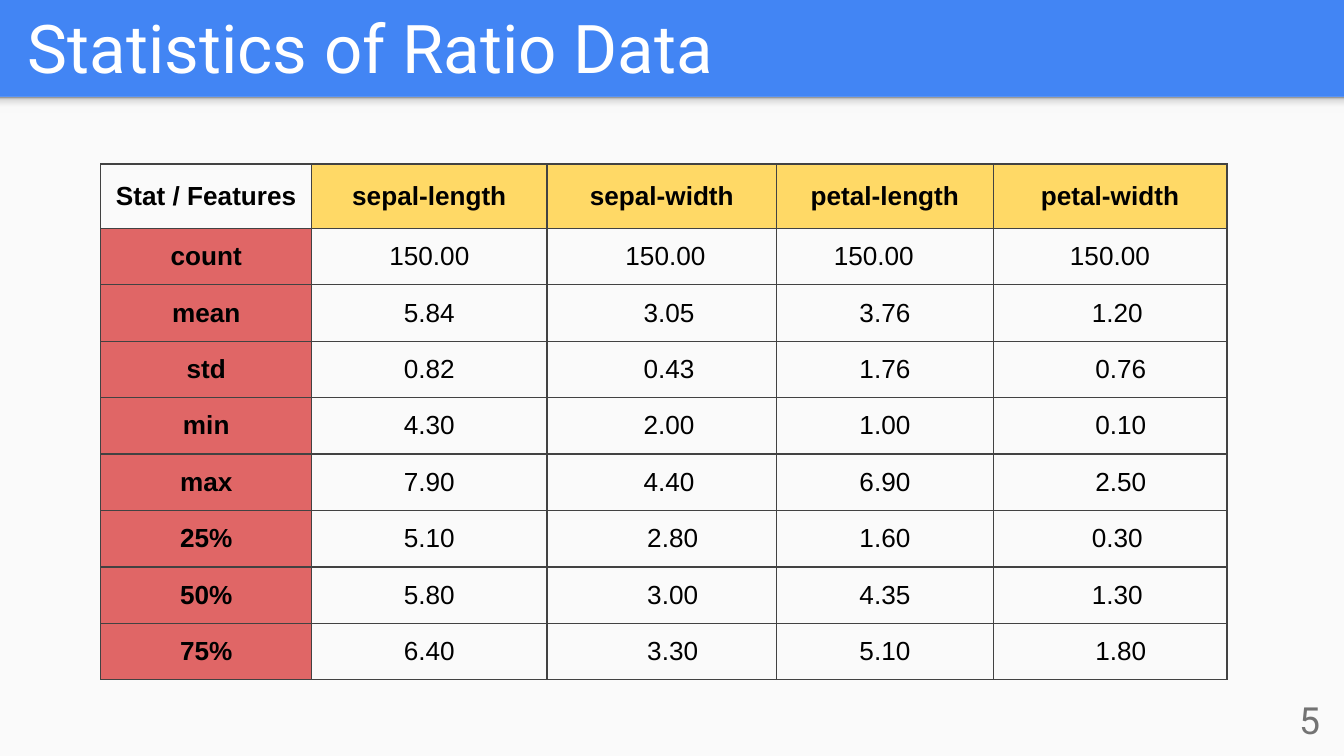
from copy import deepcopy

from lxml.etree import SubElement
from pptx import Presentation
from pptx.dml.color import RGBColor
from pptx.enum.shapes import MSO_SHAPE
from pptx.enum.text import MSO_ANCHOR, PP_ALIGN
from pptx.oxml.ns import qn
from pptx.util import Inches, Pt

FEATURES = ["sepal-length", "sepal-width", "petal-length", "petal-width"]
# Statistic, its values, and the indent of each value in space widths
STATISTICS = [
    ("count", ["150.00", "150.00", "150.00", "150.00"], [0, 1, 6, 0]),
    ("mean", ["5.84", "3.05", "3.76", "1.20"], [0, 2, 0, 2]),
    ("std", ["0.82", "0.43", "1.76", "0.76"], [0, 2, 0, 3]),
    ("min", ["4.30", "2.00", "1.00", "0.10"], [0, 2, 0, 3]),
    ("max", ["7.90", "4.40", "6.90", "2.50"], [0, 2, 0, 3]),
    ("25%", ["5.10", "2.80", "1.60", "0.30"], [0, 3, 0, 2]),
    ("50%", ["5.80", "3.00", "4.35", "1.30"], [0, 3, 0, 2]),
    ("75%", ["6.40", "3.30", "5.10", "1.80"], [0, 3, 0, 3]),
]
SLIDE_WIDTH = 10
SLIDE_HEIGHT = SLIDE_WIDTH * 9 / 16
BANNER_HEIGHT = 0.72
COLUMN_WIDTHS = [1.57, 1.75, 1.71, 1.61, 1.74]
HEADER_HEIGHT, ROW_HEIGHT = 0.48, 0.42
SPACE_WIDTH = 3.89 / 72


def rgb(value):
    return RGBColor.from_string(value)


class SlideBuilder:
    BLUE, PAPER, WHITE, GREY = "4285F4", "FAFAFA", "FFFFFF", "737373"
    BLACK, BORDER, YELLOW, RED = "000000", "424242", "FFD966", "E06666"
    HEADING_FONT, TABLE_FONT = "Roboto", "Arial"
    INSET, TIGHT_INSET = 0.1, 0.08

    def __init__(self, slide):
        self.slide = slide
        background = slide.background.fill
        background.solid()
        background.fore_color.rgb = rgb(self.BLUE)

    def panel(self, left, top, width, height):
        area = self.slide.shapes.add_shape(
            MSO_SHAPE.RECTANGLE, *map(Inches, (left, top, width, height)))
        area.shadow.inherit = False
        area.line.fill.background()
        area.fill.solid()
        area.fill.fore_color.rgb = rgb(self.PAPER)
        return area

    def fade(self, left, top, width, height, stops):
        """Add a panel shaded upwards through (percent, colour) stops."""
        fill = self.panel(left, top, width, height).fill
        fill.gradient()
        fill.gradient_angle = 90
        stop_list = fill.gradient_stops[0]._gs.getparent()
        for _ in range(len(stops) - len(fill.gradient_stops)):
            stop_list.append(deepcopy(stop_list[0]))
        for stop, (percent, color) in zip(fill.gradient_stops, stops):
            stop.position = percent / 100
            stop.color.rgb = rgb(color)

    def style(self, paragraph, font, size, color, align, bold=False):
        paragraph.alignment = align
        paragraph.font.name = font
        paragraph.font.size = Pt(size)
        paragraph.font.color.rgb = rgb(color)
        paragraph.font.bold = bold

    def inset(self, holder, indent=0, bottom=INSET):
        holder.margin_left = Inches(self.INSET + indent)
        holder.margin_right = holder.margin_top = Inches(self.INSET)
        holder.margin_bottom = Inches(bottom)

    def text(self, words, left, top, width, height, size, color,
             align=PP_ALIGN.LEFT):
        frame = self.slide.shapes.add_textbox(
            *map(Inches, (left, top, width, height))).text_frame
        frame.word_wrap = True
        frame.vertical_anchor = MSO_ANCHOR.MIDDLE
        self.inset(frame)
        frame.text = words
        self.style(frame.paragraphs[0], self.HEADING_FONT, size, color, align)

    def table(self, left, top, widths, heights):
        grid = self.slide.shapes.add_table(
            len(heights), len(widths), Inches(left), Inches(top),
            Inches(sum(widths)), Inches(sum(heights))).table
        grid.first_row = grid.horz_banding = False
        for column, width in zip(grid.columns, widths):
            column.width = Inches(width)
        for row, height in zip(grid.rows, heights):
            row.height = Inches(height)
        return grid

    def cell(self, cell, words, fill=None, bold=False, indent=0,
             align=PP_ALIGN.CENTER, anchor=MSO_ANCHOR.TOP):
        cell.text = words
        cell.vertical_anchor = anchor
        self.inset(cell, indent, self.TIGHT_INSET
                   if anchor == MSO_ANCHOR.TOP else self.INSET)
        self.style(cell.text_frame.paragraphs[0], self.TABLE_FONT, 14,
                   self.BLACK, align, bold)
        properties = cell._tc.get_or_add_tcPr()
        for side in ("a:lnL", "a:lnR", "a:lnT", "a:lnB"):
            line = SubElement(properties, qn(side), w=str(Pt(0.75)))
            solid = SubElement(line, qn("a:solidFill"))
            SubElement(solid, qn("a:srgbClr"), val=self.BORDER)
        if fill:
            cell.fill.solid()
            cell.fill.fore_color.rgb = rgb(fill)
        else:
            cell.fill.background()


def main():
    presentation = Presentation()
    presentation.slide_width = Inches(SLIDE_WIDTH)
    presentation.slide_height = Inches(SLIDE_HEIGHT)
    builder = SlideBuilder(
        presentation.slides.add_slide(presentation.slide_layouts[6]))

    builder.panel(0, BANNER_HEIGHT, SLIDE_WIDTH, SLIDE_HEIGHT - BANNER_HEIGHT)
    builder.fade(0, BANNER_HEIGHT, SLIDE_WIDTH, 0.12, [
        (0, "F9F9F9"), (36, "F9F9F9"), (80, "DEDEDE"), (100, "999999")])
    builder.text("Statistics of Ratio Data", 0.11, 0.02, 9.65, 0.66,
                 36, builder.WHITE)
    builder.text("5", 9.32, 5.14, 0.6, 0.43, 20, builder.GREY, PP_ALIGN.RIGHT)

    summary = builder.table(0.75, 1.22, COLUMN_WIDTHS,
                            [HEADER_HEIGHT] + [ROW_HEIGHT] * len(STATISTICS))
    for column, heading in enumerate(["Stat / Features"] + FEATURES):
        builder.cell(summary.cell(0, column), heading, bold=True,
                     fill=builder.YELLOW if column else None,
                     anchor=MSO_ANCHOR.MIDDLE)
    for row, (statistic, values, indents) in enumerate(STATISTICS, start=1):
        builder.cell(summary.cell(row, 0), statistic, builder.RED, bold=True)
        for column, (value, spaces) in enumerate(zip(values, indents), start=1):
            is_petal_count = (statistic == "count"
                              and FEATURES[column - 1] == "petal-length")
            builder.cell(
                summary.cell(row, column), value, indent=spaces * SPACE_WIDTH,
                align=PP_ALIGN.LEFT if is_petal_count else PP_ALIGN.CENTER)

    presentation.save("out.pptx")


if __name__ == "__main__":
    main()
